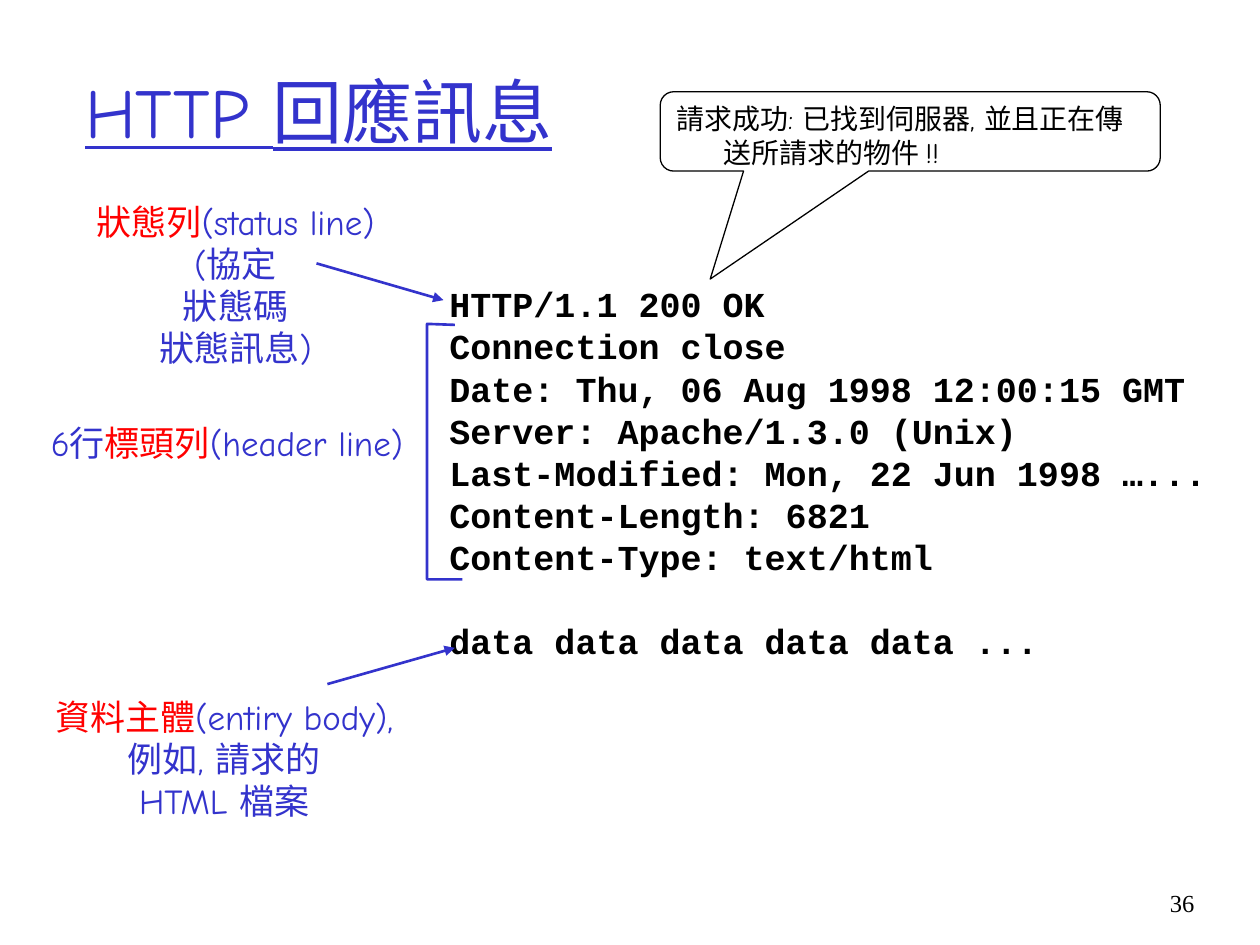
from lxml import etree
from pptx import Presentation
from pptx.dml.color import RGBColor
from pptx.enum.shapes import MSO_CONNECTOR, MSO_SHAPE
from pptx.enum.text import MSO_ANCHOR, MSO_AUTO_SIZE, PP_ALIGN
from pptx.oxml.ns import qn
from pptx.util import Cm, Pt

LEFT, MID, RIGHT = PP_ALIGN.LEFT, PP_ALIGN.CENTER, PP_ALIGN.RIGHT
TOP, CENTER = MSO_ANCHOR.TOP, MSO_ANCHOR.MIDDLE
GROW = MSO_AUTO_SIZE.SHAPE_TO_FIT_TEXT
STRAIGHT = MSO_CONNECTOR.STRAIGHT
CALLOUT = MSO_SHAPE.ROUNDED_RECTANGULAR_CALLOUT
BLUE, RED, BLACK = "3333CC", "FF0000", "000000"
HAND, MONO, SERIF = "Comic Neue", "Courier New", "Times New Roman"


def color(code):
    return RGBColor.from_string(code)


class Page:
    def __init__(self, slide):
        self.slide = slide
        self.shapes = slide.shapes
        self.pen = Pt(1.5)

    def fill_text(self, frame, lines, size, align=LEFT, pitch=None, **style):
        """Each line is a list of (text, color) runs."""
        for i, runs in enumerate(lines):
            para = frame.paragraphs[0] if i == 0 else frame.add_paragraph()
            para.alignment = align
            if pitch:
                para.line_spacing = Pt(pitch)
            for text, tint in runs:
                run = para.add_run()
                run.text = text
                for key, value in {"size": Pt(size), **style}.items():
                    setattr(run.font, key, value)
                run.font.color.rgb = color(tint)

    def text(self, box, lines, size, wrap=False, anchor=TOP, **style):
        frame = self.shapes.add_textbox(*map(Cm, box)).text_frame
        frame.word_wrap = wrap
        frame.vertical_anchor = anchor
        if not wrap:
            frame.auto_size = GROW
        self.fill_text(frame, lines, size, **style)
        return frame

    def label(self, box, lines, align=MID):
        self.text(box, lines, 20, align=align, pitch=24, name=HAND)

    def arrow(self, *ends):
        link = self.shapes.add_connector(STRAIGHT, *map(Cm, ends))
        link.line.color.rgb = color(BLUE)
        link.line.width = self.pen
        head = etree.SubElement(link.line._get_or_add_ln(), qn("a:tailEnd"))
        head.set("type", "triangle")
        etree.SubElement(link._element.spPr, qn("a:effectLst"))

    def trace(self, points):
        start, *rest = [(Cm(x), Cm(y)) for x, y in points]
        path = self.shapes.build_freeform(*start)
        path.add_line_segments(rest, close=False)
        shape = path.convert_to_shape()
        shape.shadow.inherit = False
        shape.fill.background()
        shape.line.color.rgb = color(BLUE)
        shape.line.width = self.pen

    def callout(self, box, tip, lines, size):
        shape = self.shapes.add_shape(CALLOUT, *map(Cm, box))
        for i, value in enumerate(tip):
            shape.adjustments[i] = value
        shape.shadow.inherit = False
        shape.fill.background()
        shape.line.color.rgb = color(BLACK)
        shape.line.width = Pt(0.75)
        frame = shape.text_frame
        frame.word_wrap = True
        frame.vertical_anchor = TOP
        self.fill_text(frame, lines, size, pitch=19.2, name=HAND)
        # Hanging indent
        props = frame.paragraphs[0]._p.get_or_add_pPr()
        props.set("marL", str(Cm(0.95)))
        props.set("indent", str(-Cm(0.95)))


def main():
    deck = Presentation()
    deck.slide_width, deck.slide_height = Cm(25.4), Cm(19.05)
    page = Page(deck.slides.add_slide(deck.slide_layouts[6]))

    # Title
    page.text((1.47, 0.64, 21.59, 3.18), [[("HTTP 回應訊息", BLUE)]], 40,
              wrap=True, anchor=CENTER, name=HAND, underline=True)

    # Response message
    code = ["HTTP/1.1 200 OK",
            "Connection close",
            "Date: Thu, 06 Aug 1998 12:00:15 GMT",
            "Server: Apache/1.3.0 (Unix)",
            "Last-Modified: Mon, 22 Jun 1998 …...",
            "Content-Length: 6821",
            "Content-Type: text/html",
            "data data data data data ..."]
    frame = page.text((8.81, 5.58, 16.21, 7.87), [[(row, BLACK)] for row in code],
                      20, pitch=24, name=MONO, bold=True)
    frame.paragraphs[-1].space_before = Pt(24)

    # Status line
    page.label((1.6, 3.91, 6.3, 3.66), [
        [("狀態列", RED), ("(status line)", BLUE)],
        [("(協定", BLUE)], [("狀態碼", BLUE)], [("狀態訊息)", BLUE)]])
    page.arrow(6.38, 5.31, 8.94, 6.05)

    # Header lines
    page.trace([(9.17, 6.55), (8.61, 6.53), (8.61, 11.68), (9.32, 11.68)])
    page.label((0.43, 8.38, 7.95, 1.12), [
        [("6行", BLUE), ("標頭列", RED), ("(header line)", BLUE)]], RIGHT)

    # Entity body
    page.arrow(6.6, 13.79, 9.17, 13.06)
    page.label((0.66, 13.89, 7.72, 2.79), [
        [("資料主體", RED), ("(entiry body),", BLUE)],
        [("例如, 請求的", BLUE)], [("HTML 檔案", BLUE)]])

    # Success note
    page.callout((13.31, 1.85, 10.08, 1.6), (-0.4, 1.86, 0.17), [
        [("請求成功: 已找到伺服器, 並且正在傳送所請求的物件 !!", BLACK)]], 16)

    # Page number
    page.text((23.06, 17.78, 1.27, 1.27), [[("36", BLACK)]], 14,
              wrap=True, align=RIGHT, name=SERIF)

    deck.save("out.pptx")


if __name__ == "__main__":
    main()
